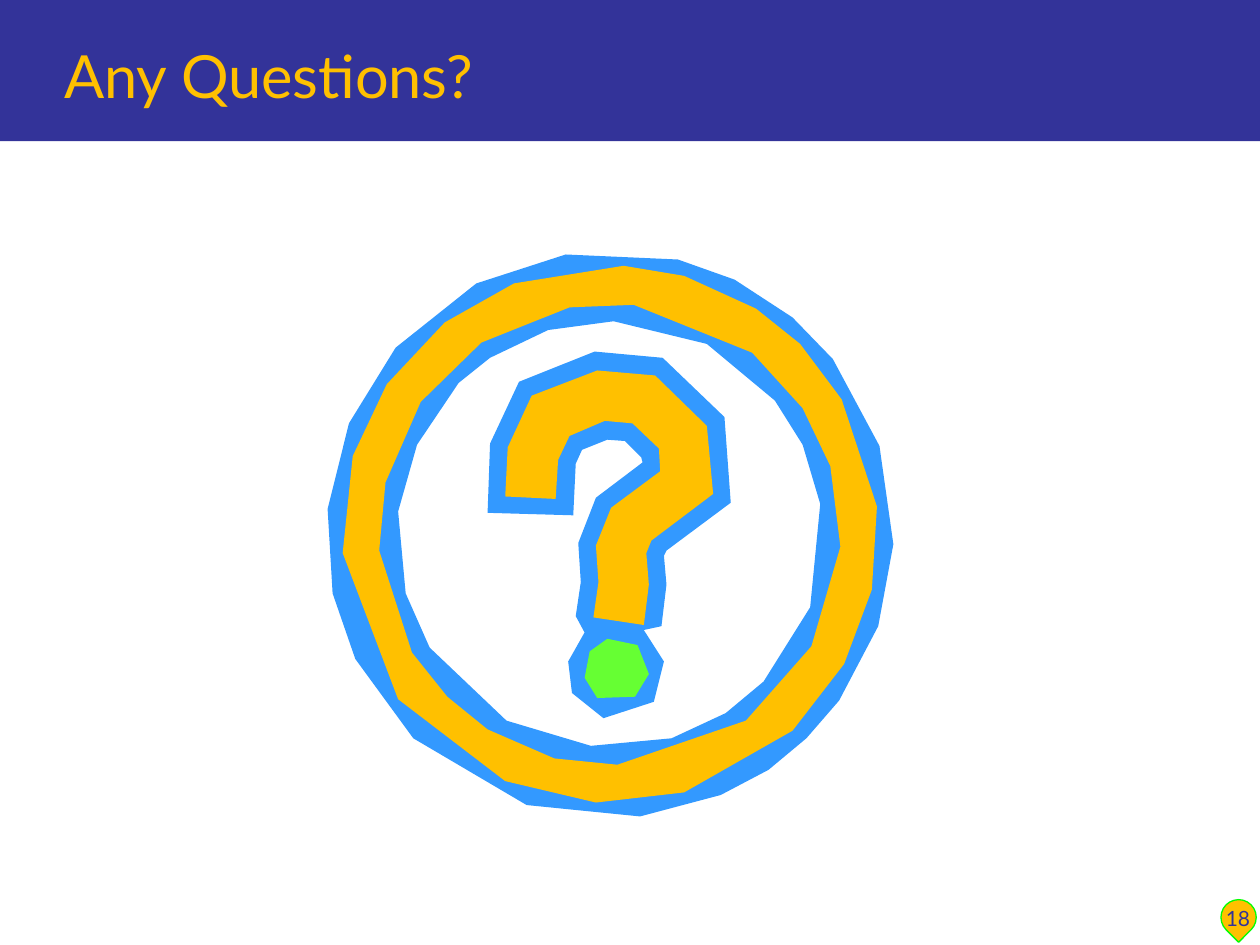
"""Build the closing questions slide with a question mark inside a ring."""
from dataclasses import dataclass
from math import atan2, cos, radians, sin
from typing import NamedTuple

from pptx import Presentation
from pptx.dml.color import RGBColor
from pptx.enum.shapes import MSO_SHAPE
from pptx.enum.text import MSO_ANCHOR, PP_ALIGN
from pptx.util import Inches, Pt

NAVY = RGBColor(0x33, 0x33, 0x99)
GOLD = RGBColor(0xFF, 0xC0, 0x00)
BLUE = RGBColor(0x33, 0x99, 0xFF)
GREEN = RGBColor(0x66, 0xFF, 0x33)
LIME = RGBColor(0x00, 0xFF, 0x00)
UNIT = Inches(0.01)


class Point(NamedTuple):
    """A place on the slide in hundredths of an inch."""
    x: float
    y: float


@dataclass(frozen=True)
class Loop:
    """A rough circle: corners at clockwise angles, all at one radius."""
    center: Point
    radius: float
    angles: tuple[int, ...]

    def corners(self) -> list[Point]:
        """Return the corners in order."""
        return [step(self.center, radians(a), self.radius) for a in self.angles]


@dataclass(frozen=True)
class Outline:
    """A filled polygon."""
    color: RGBColor
    points: list[Point]


def step(start: Point, angle: float, length: float) -> Point:
    """Go a length from a point in a direction."""
    return Point(start.x + length * cos(angle), start.y + length * sin(angle))


def ring(outer: Loop, inner: Loop) -> list[Point]:
    """Join two loops, the inner one reversed to leave a hole."""
    rim, hole = outer.corners(), inner.corners()
    return rim + rim[:1] + hole[:1] + hole[::-1]


def side(spine: list[Point], offset: float) -> list[Point]:
    """Return the line that runs beside a spine, mitred at its corners."""
    headings = [atan2(b.y - a.y, b.x - a.x) for a, b in zip(spine, spine[1:])]
    points = []
    for p, before, after in zip(spine, headings[:1] + headings, headings + headings[-1:]):
        bx, by = cos(before) + cos(after), sin(before) + sin(after)
        turn = atan2(sin(after - before), cos(after - before))
        points.append(step(p, atan2(bx, -by), offset / cos(turn / 2)))
    return points


def hook(half_width: float, overhang: float = 0, foot: Loop | None = None) -> list[Point]:
    """Thicken the question mark's spine, optionally ending around a foot."""
    first, *rest = SPINE
    spine = [Point(first.x, first.y + overhang), *rest]
    end = foot.corners() if foot else []
    return side(spine, half_width) + end + side(spine, -half_width)[::-1]


RING_CENTER = Point(484, 424)
DOT_CENTER = Point(489, 532)
SPINE = [Point(*xy) for xy in (
    (421, 395), (423, 360), (437, 330), (477, 314), (511, 317), (542, 347),
    (545, 383), (501, 416), (493, 436), (495, 463), (491, 493))]

EDGE_OUTER = Loop(RING_CENTER, 225, (
    2, 19, 36, 46, 56, 67, 84, 107, 134, 154, 168,
    185, 203, 221, 242, 261, 284, 296, 310, 322, 342))
BAND_OUTER = Loop(RING_CENTER, 213, (
    12, 29, 47, 74, 93, 113, 142, 176, 197, 214, 232, 249, 273, 286, 303, 315, 330, 354))
BAND_INNER = Loop(RING_CENTER, 183, (
    3, 29, 54, 88, 104, 122, 135, 149, 176, 193, 215, 236, 260, 276, 308, 327, 343))
EDGE_INNER = Loop(RING_CENTER, 169, (
    20, 44, 57, 73, 95, 119, 148, 164, 186, 205, 225, 236, 253, 271, 297, 321, 335, 352))
DOT_EDGE = Loop(DOT_CENTER, 39, (230, 190, 153, 105, 39, -10, -55))
DOT = Loop(DOT_CENTER, 26, (7, 54, 124, 167, 216, 254, 310))

EMBLEM = (
    Outline(BLUE, hook(34, overhang=13, foot=DOT_EDGE)),
    Outline(GOLD, hook(20)),
    Outline(GREEN, DOT.corners()),
    Outline(BLUE, ring(EDGE_OUTER, EDGE_INNER)),
    Outline(GOLD, ring(BAND_OUTER, BAND_INNER)),
)


def paint(sp, fill: RGBColor, line: RGBColor | None = None) -> None:
    """Give a shape a solid fill, an optional thin line and no shadow."""
    sp.shadow.inherit = False
    sp.fill.solid()
    sp.fill.fore_color.rgb = fill
    if line is None:
        sp.line.fill.background()
    else:
        sp.line.color.rgb = line
        sp.line.width = Pt(0.75)


def write(sp, text: str, *, size: float, color: RGBColor,
          align: PP_ALIGN = PP_ALIGN.LEFT) -> None:
    """Put one bottom-anchored line of text in a shape."""
    tf = sp.text_frame
    tf.word_wrap = True
    tf.vertical_anchor = MSO_ANCHOR.BOTTOM
    p = tf.paragraphs[0]
    p.alignment = align
    r = p.add_run()
    r.text = text
    r.font.name = "Lato"
    r.font.size = Pt(size)
    r.font.color.rgb = color


def draw(shapes, outline: Outline) -> None:
    """Draw an outline as a closed freeform."""
    start, *rest = outline.points
    builder = shapes.build_freeform(*start, scale=UNIT)
    builder.add_line_segments(rest, close=True)
    paint(builder.convert_to_shape(), outline.color)


def build() -> None:
    """Assemble and save the slide."""
    prs = Presentation()
    prs.slide_width, prs.slide_height = Inches(10), Inches(7.5)
    s = prs.slides.add_slide(prs.slide_layouts[5])

    band = s.shapes.add_shape(MSO_SHAPE.RECTANGLE, 0, 0, prs.slide_width, Inches(1.12))
    paint(band, NAVY)
    drop = s.shapes.add_shape(MSO_SHAPE.TEAR, Inches(9.69), Inches(7.14),
                              Inches(0.28), Inches(0.28))
    drop.rotation = 134.9
    paint(drop, GOLD, LIME)
    number = s.shapes.add_textbox(Inches(9.54), Inches(6.94), Inches(0.57), Inches(0.5))
    write(number, "18", size=12, color=NAVY, align=PP_ALIGN.CENTER)

    title = s.shapes.title
    title.left, title.top = Inches(0.41), Inches(0.17)
    title.width, title.height = Inches(9.35), Inches(0.76)
    write(title, "Any Questions?", size=34, color=GOLD)
    title.element.getparent().append(title.element)

    emblem = s.shapes.add_group_shape()
    for outline in EMBLEM:
        draw(emblem.shapes, outline)
    prs.save("out.pptx")


build()
